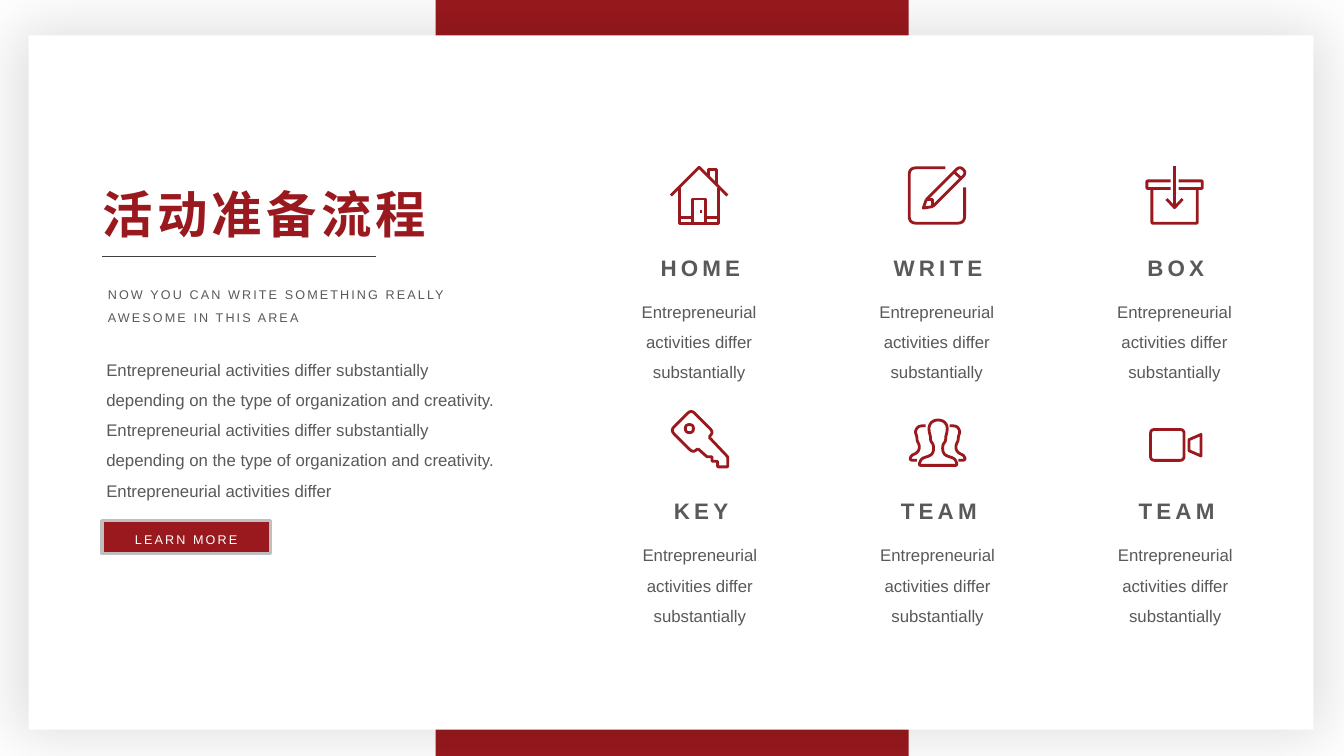
from lxml.etree import SubElement
from math import hypot
from pptx import Presentation
from pptx.dml.color import RGBColor
from pptx.enum.shapes import MSO_CONNECTOR as Connector, MSO_SHAPE as Preset
from pptx.enum.text import MSO_ANCHOR as Anchor, MSO_AUTO_SIZE as AutoSize, PP_ALIGN as Align
from pptx.oxml.ns import qn
from pptx.util import Cm, Pt

RED, GREY, WHITE = "99191E", "595959", "FFFFFF"
ICON_UNIT = 0.0254
ICON_SIZE = 58 * ICON_UNIT
COLUMN_PITCH, ROW_PITCH, ROW_SHIFT, STEP_WIDTH = 5.99, 6.14, 0.02, 4.8
STEP_TEXT = "Entrepreneurial activities differ substantially"
ABOUT = ("Entrepreneurial activities differ substantially depending on the type "
         "of organization and creativity. ") * 2 + "Entrepreneurial activities differ"


def mirror(points, span=58):
    """Reflect points left to right within the span."""
    return [(span - x, y) for x, y in points]


LID = [(25, 14.5), (1.5, 14.5), (1.5, 22), (25, 22)]
FRONT = [(29.5, 9.9), (24, 11), (20.5, 15.5), (20.5, 21.5), (22, 26.5), (22, 31), (25, 34.5),
         (25, 41.5), (22, 45.5), (13, 48), (11, 53)]
BEHIND = [(17, 15.7), (14, 15.7), (9.5, 16.5), (6.5, 21.5), (8.5, 26.5), (8.5, 30.5),
          (10.8, 34.5), (10.8, 39.5), (8, 43), (3, 45), (1, 50), (8.5, 50)]

# Each stroke is (corner radius, closed, points).
HOME = [
    (0, False, [(1, 29), (29, 1), (57, 29)]),
    (0, False, [(9.5, 22), (9.5, 56.5), (48.5, 56.5), (48.5, 22)]),
    (0, False, [(22.5, 56.5), (22.5, 32.5), (35.5, 32.5), (35.5, 56.5)]),
    (0, False, [(9.5, 51), (22.5, 51)]),
    (0, False, [(35.5, 51), (48.5, 51)]),
    (0, False, [(38.5, 10), (38.5, 3.5), (46.5, 3.5), (46.5, 18)]),
    (0, False, [(30, 45), (32, 45)]),
]
WRITE = [
    (7, False, [(37.5, 1.5), (1.5, 1.5), (1.5, 56.5), (56.5, 56.5), (56.5, 21)]),
    (5, False, [(18.5, 33), (51.75, -0.25), (58.5, 6.5), (25, 40)]),
    (0, False, [(18.5, 33), (15.5, 41.5), (25, 40)]),
    (0, False, [(18.5, 33), (25, 33), (25, 40)]),
    (0, False, [(46, 5.5), (53, 12)]),
]
BOX = [
    (1, False, LID),
    (1, False, mirror(LID)),
    (1, False, [(6.5, 22), (6.5, 56.5), (51.5, 56.5), (51.5, 22)]),
    (0, False, [(29, 0), (29, 41)]),
    (0, False, [(21, 32.5), (29, 41), (37, 32.5)]),
]
KEY = [
    (5, False, [(38, 27), (42.25, 21.75), (20.25, -0.25), (-0.25, 20.25), (21.75, 42.25),
                (27, 38.5)]),
    (1, False, [(27, 38.5), (36, 46.5), (41, 46.5), (41, 51), (46.5, 51), (46.5, 56.5),
                (56.5, 56.5), (56.5, 46.5), (38, 27)]),
    (4, True, [(14.5, 14.5), (22.5, 14.5), (22.5, 22.5), (14.5, 22.5)]),
]
TEAM = [
    (6, False, FRONT),
    (6, False, mirror(FRONT, 59)),
    (1, False, [(11, 52.5), (11, 55), (48, 55), (48, 52.5)]),
    (4, False, BEHIND),
    (4, False, mirror(BEHIND)),
]
VIDEO = [
    (4, True, [(4.4, 19.4), (37.6, 19.4), (37.6, 50), (4.4, 50)]),
    (0, True, [(42.5, 29.5), (54.5, 24.3), (54.5, 45.7), (42.5, 40.5)]),
]
STEPS = [("HOME", HOME), ("WRITE", WRITE), ("BOX", BOX),
         ("KEY", KEY), ("TEAM", TEAM), ("TEAM", VIDEO)]


def color(value):
    """Turn a hex string into a colour."""
    return RGBColor.from_string(value)


def write(frame, text, size=12, ink=GREY, bold=False, tracking=0, align=Align.LEFT, leading=1.0,
          anchor=Anchor.TOP):
    """Fill a text frame, one paragraph per line of text."""
    frame.word_wrap, frame.vertical_anchor = True, anchor
    frame.auto_size = AutoSize.NONE
    frame.text = text
    for paragraph in frame.paragraphs:
        paragraph.alignment, paragraph.line_spacing = align, leading
        for run in paragraph.runs:
            run.font.name, run.font.size, run.font.bold = "Arial", Pt(size), bold
            run.font.color.rgb = color(ink)
            run.font._element.set("spc", str(int(tracking * 100)))


def add_text(slide, left, top, width, height, text, **style):
    """Add a text box at a place given in centimetres."""
    box = slide.shapes.add_textbox(Cm(left), Cm(top), Cm(width), Cm(height))
    write(box.text_frame, text, **style)


def add_panel(slide, left, top, width, height, fill):
    """Add a plain filled rectangle."""
    panel = slide.shapes.add_shape(Preset.RECTANGLE, Cm(left), Cm(top), Cm(width), Cm(height))
    panel.shadow.inherit = False
    panel.fill.solid()
    panel.fill.fore_color.rgb = color(fill)
    panel.line.fill.background()
    return panel


def round_corners(points, radius, closed):
    """Replace each corner by a short curve of the given radius."""
    if not radius:
        return points
    curve = [] if closed else [points[0]]
    corners = range(len(points)) if closed else range(1, len(points) - 1)
    for i in corners:
        x, y = points[i]
        ends = []
        for nx, ny in (points[i - 1], points[(i + 1) % len(points)]):
            share = min(0.5, radius / hypot(nx - x, ny - y))
            ends.append((x + (nx - x) * share, y + (ny - y) * share))
        (ax, ay), (bx, by) = ends
        for t in (0, 0.2, 0.4, 0.6, 0.8, 1):
            a, c, b = (1 - t) ** 2, 2 * t * (1 - t), t ** 2
            curve.append((a * ax + c * x + b * bx, a * ay + c * y + b * by))
    return curve if closed else curve + [points[-1]]


def draw_icon(slide, left, top, strokes):
    """Draw an icon as one outline of several strokes in a square box."""
    builder = None
    for radius, closed, points in strokes:
        start, *rest = [(Cm(left + x * ICON_UNIT), Cm(top + y * ICON_UNIT))
                        for x, y in round_corners(points, radius, closed)]
        if builder:
            builder.move_to(*start)
        else:
            builder = slide.shapes.build_freeform(*start)
        builder.add_line_segments(rest, close=closed)
    icon = builder.convert_to_shape()
    icon.shadow.inherit = False
    icon.fill.background()
    icon.line.color.rgb, icon.line.width = color(RED), Pt(2)


def draw_backdrop(slide, width, height):
    """Draw the red band and the white card with its soft shadow."""
    add_panel(slide, 10.98, 0, 11.92, height, RED)
    card = add_panel(slide, 0.72, 0.89, width - 1.49, height - 1.55, WHITE)
    effects = card._element.spPr.find(qn("a:effectLst"))
    shadow = SubElement(effects, qn("a:outerShdw"), blurRad=str(Pt(44)), dist="0", dir="0",
                        sx="102000", sy="102000", algn="ctr", rotWithShape="0")
    tint = SubElement(shadow, qn("a:srgbClr"), val="000000")
    SubElement(tint, qn("a:alpha"), val="12000")


def draw_intro(slide, left, top):
    """Place the title, tagline, description and button."""
    title = slide.shapes.title
    title.left, title.top, title.width, title.height = Cm(left), Cm(top), Cm(9.96), Cm(1.8)
    write(title.text_frame, "活动准备流程", size=36, ink=RED, bold=True, tracking=3)
    slide.shapes._spTree.append(title._element)

    rule = slide.shapes.add_connector(Connector.STRAIGHT, Cm(left + 0.23), Cm(top + 1.98),
                                      Cm(left + 7.13), Cm(top + 1.98))
    rule.line.color.rgb, rule.line.width = color("404040"), Pt(0.5)
    SubElement(rule._element.spPr, qn("a:effectLst"))

    add_text(slide, left + 0.13, top + 2.44, 9.6, 1.35,
             "NOW YOU CAN WRITE SOMETHING REALLY\nAWESOME IN THIS AREA",
             size=9, tracking=1.5, leading=1.5)
    add_text(slide, left + 0.09, top + 4.2, 10.57, 4.01, ABOUT, leading=1.5)

    button = add_panel(slide, left + 0.23, top + 8.64, 4.24, 0.84, RED)
    button.line.color.rgb, button.line.width = color("BFBFBF"), Pt(2.25)
    button.text_frame.margin_top, button.text_frame.margin_bottom = Cm(0.1), 0
    write(button.text_frame, "LEARN MORE", size=9, ink=WHITE, tracking=1.5,
          align=Align.CENTER, anchor=Anchor.MIDDLE)


def draw_step(slide, left, top, name, strokes):
    """Place one icon with its heading and text."""
    draw_icon(slide, left + (STEP_WIDTH - ICON_SIZE) / 2, top, strokes)
    add_text(slide, left + 0.03, top + 2.08, STEP_WIDTH, 0.94, name, size=16, bold=True,
             tracking=3, align=Align.CENTER)
    add_text(slide, left, top + 3.03, STEP_WIDTH, 2.46, STEP_TEXT, align=Align.CENTER,
             leading=1.5)


def draw_steps(slide, left, top):
    """Lay the steps out in three columns."""
    for i, (name, strokes) in enumerate(STEPS):
        row, column = divmod(i, 3)
        draw_step(slide, left + column * COLUMN_PITCH + row * ROW_SHIFT, top + row * ROW_PITCH,
                  name, strokes)


def main():
    """Build and save the slide."""
    deck = Presentation()
    width, height = 33.87, 19.05
    deck.slide_width, deck.slide_height = Cm(width), Cm(height)
    slide = deck.slides.add_slide(deck.slide_layouts[5])
    draw_backdrop(slide, width, height)
    draw_intro(slide, 2.34, 4.48)
    draw_steps(slide, 15.22, 4.19)
    deck.save("out.pptx")


if __name__ == "__main__":
    main()
